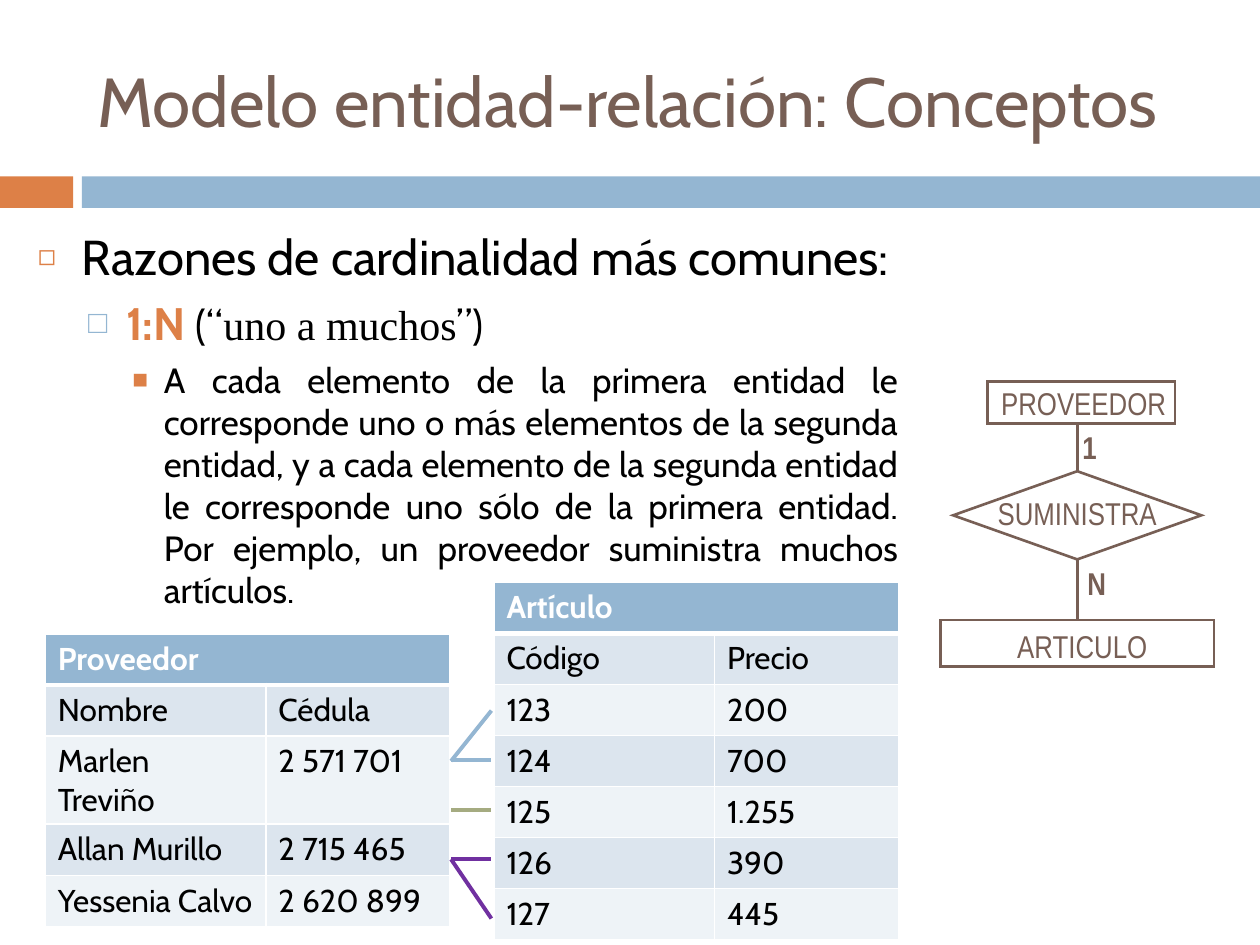
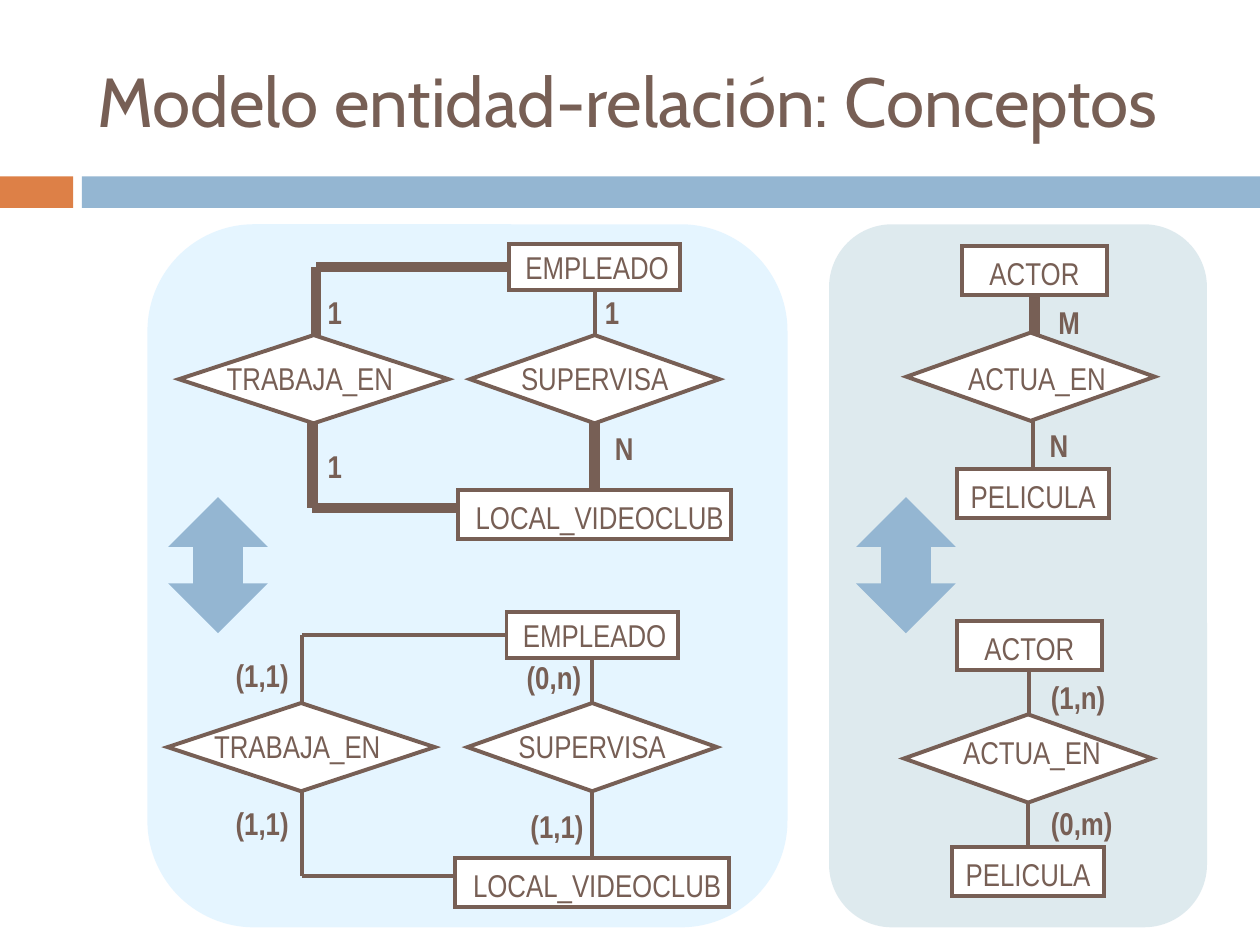
from lxml.etree import SubElement
from pptx import Presentation
from pptx.dml.color import RGBColor
from pptx.enum.shapes import MSO_CONNECTOR, MSO_SHAPE
from pptx.enum.text import MSO_ANCHOR, MSO_AUTO_SIZE, PP_ALIGN
from pptx.oxml.ns import qn
from pptx.util import Inches, Pt

# ---- Theme ----
THEME = {
    "brown": "775F55", "orange": "DD8047", "blue": "94B6D2", "olive": "A5AB81",
    "purple": "7030A0", "black": "000000", "white": "FFFFFF",
    "row_dark": "DCE5EE", "row_light": "EEF3F7",
    "panel_blue": "CCECFF", "panel_gray": "BFD6DF",
    "text_font": "Cabin", "diagram_font": "Arial Narrow", "quote_font": "Times New Roman",
    "title_size": 39.6, "diagram_size": 18, "table_size": 18,
}
TOP, LEFT, BOTTOM = 0, 1, 2  # connection sites
THIN, MEDIUM, HEAVY = 1.5, 2.25, 6

# ---- Shared content ----
TITLE = "Modelo entidad-relación: Conceptos"
TITLE_AREA = (0.67, 0.25, 8.92, 1.08)
BANDS = [((0, 1.4, 0.58, 0.25), "orange"), ((0.65, 1.4, 9.35, 0.25), "blue")]

# ---- Slide 1: list, each run is text, size, colour, bold, font ----
BODY_AREA = (0.2, 1.75, 7.03, 5.39)
BODY = [
    {"bullet": ("◻", "orange", 60), "indent": (0.35, 0.35), "before": 0, "runs": [
        ("Razones de cardinalidad más comunes:", 28, "black", False, "text_font")]},
    {"bullet": ("□", "blue", 70), "indent": (0.7, 0.3), "before": 5.5, "runs": [
        ("1:N ", 26, "orange", True, "text_font"),
        ("(“", 24, "black", False, "text_font"),
        ("uno a muchos", 24, "black", False, "quote_font"),
        ("”)", 24, "black", False, "text_font")]},
    {"bullet": ("■", "orange", 75), "indent": (1, 0.25), "before": 5, "runs": [
        ("A cada elemento de la primera entidad le corresponde uno o más elementos de la "
         "segunda entidad, y a cada elemento de la segunda entidad le corresponde uno sólo "
         "de la primera entidad. Por ejemplo, un proveedor suministra muchos artículos.",
         20, "black", False, "text_font")]},
]

# ---- Slide 1: tables and the pairs between their rows ----
COLUMN_WIDTHS, ROW_HEIGHT = (1.75, 1.46), 2.84 / 7
TABLES = [
    {"at": (0.36, 5.03), "name": "Proveedor", "rows": [
        ("Nombre", "Cédula"), ("Marlen Treviño", "2 571 701"),
        ("Allan Murillo", "2 715 465"), ("Yessenia Calvo", "2 620 899")]},
    {"at": (3.92, 4.62), "name": "Artículo", "rows": [
        ("Código", "Precio"), ("123", "200"), ("124", "700"), ("125", "1.255"),
        ("126", "390"), ("127", "445")]},
]
PAIR_LEFT, PAIR_RIGHT = 3.58, 3.9
PAIRS = [(6.03, 6.03, "blue"), (6.43, 6.43, "olive"), (6.82, 7.29, "purple"),
         (6.04, 5.64, "blue"), (6.82, 6.82, "purple")]

# ---- Diagrams ----
# Entity kinds: width, height, text margins (left, top, right, bottom)
ENTITY_KINDS = {
    "PROVEEDOR": (1.49, 0.33, (0.08, 0.01, 0.04, 0.01)),
    "ARTICULO": (2.17, 0.37, (0.08, 0.05, 0, 0.01)),
    "EMPLEADO": (1.36, 0.36, (0.08, 0.01, 0.04, 0.01)),
    "LOCAL_VIDEOCLUB": (2.17, 0.39, (0.08, 0.05, 0, 0.01)),
    "ACTOR": (1.15, 0.39, (0, 0.05, 0, 0.01)),
    "PELICULA": (1.21, 0.39, (0, 0.05, 0, 0.01)),
}
DIAMOND_HEIGHT, CAPTION_SIZE, LABEL_SIZE = 0.7, (1.8, 0.4), (0.65, 0.36)

# entities: name -> centre x, top; relations: name, centre x, top, width, caption centre
# links: start, end, weight, each end a point or (entity, site); labels: text, left, top
def store_diagram(axis, top, work, caption, corners, weights, labels):
    """Two entities joined straight by one relation and around a corner by another."""
    upper_x, lower_x = corners
    side, upper, lower = weights
    upper_y, lower_y = top + 0.18, top + 2.09
    diamond_top = top + 0.72
    return {
        "entities": {"EMPLEADO": (axis, top), "LOCAL_VIDEOCLUB": (axis, top + 1.95)},
        "relations": [("TRABAJA_EN", work[0], diamond_top, work[1], (caption, top + 1.06)),
                      ("SUPERVISA", axis, diamond_top, 1.98, (axis, top + 1.06))],
        "links": [
            (("EMPLEADO", BOTTOM), (axis, top + 0.77), upper),
            (("LOCAL_VIDEOCLUB", TOP), (axis, top + 1.34), lower),
            ((upper_x, top + 0.77), (upper_x, upper_y), side),
            ((upper_x, upper_y), ("EMPLEADO", LEFT), side),
            ((lower_x, top + 1.34), (lower_x, lower_y), side),
            ((lower_x, lower_y), (axis - 1.08, lower_y), side)],
        "labels": labels, "weight": MEDIUM,
    }

def cast_diagram(actor, film, relation, caption, weights, labels):
    """Two entities above and below one relation."""
    return {
        "entities": {"ACTOR": actor, "PELICULA": film},
        "relations": [("ACTUA_EN", *relation, 1.97, caption)],
        "links": [(("ACTOR", BOTTOM), (actor[0], relation[1] + 0.05), weights[0]),
                  (("PELICULA", TOP), (film[0], relation[1] + 0.65), weights[1])],
        "labels": labels, "weight": MEDIUM,
    }

SUPPLY = {
    "entities": {"PROVEEDOR": (8.58, 3.03), "ARTICULO": (8.55, 4.92)},
    "relations": [("SUMINISTRA", 8.55, 3.74, 1.97, (8.55, 4.07))],
    "links": [((8.55, 3.36), (8.55, 3.77), THIN),
              (("ARTICULO", TOP), (8.55, 4.35), THIN)],
    "labels": [("1", 8.59, 3.35), ("N", 8.63, 4.43)], "weight": THIN,
}
COMPARISON = [
    store_diagram(4.72, 1.94, (2.49, 2.14), 2.46, (2.51, 2.48), (HEAVY, MEDIUM, HEAVY),
                  [("1", 4.8, 2.28), ("1", 2.6, 2.28), ("N", 4.88, 3.36), ("1", 2.6, 3.5)]),
    store_diagram(4.7, 4.86, (2.39, 2.12), 2.36, (2.4, 2.4), (MEDIUM, MEDIUM, MEDIUM),
                  [("(0,n)", 4.18, 5.17), ("(1,1)", 1.87, 5.16),
                   ("(1,1)", 1.87, 6.33), ("(1,1)", 4.21, 6.36)]),
    cast_diagram((8.21, 1.95), (8.2, 3.72), (8.18, 2.64), (8.23, 3), (HEAVY, MEDIUM),
                 [("M", 8.4, 2.36), ("N", 8.33, 3.33)]),
    cast_diagram((8.17, 4.93), (8.16, 6.72), (8.16, 5.67), (8.19, 5.97), (MEDIUM, MEDIUM),
                 [("(1,n)", 8.34, 5.33), ("(0,m)", 8.34, 6.33)]),
]
PANELS = [((6.58, 1.78, 3, 5.58), "panel_gray"), ((1.17, 1.78, 5.08, 5.58), "panel_blue")]
ARROWS = [(1.19, 4.09, 1.08, 0.79), (6.65, 4.09, 1.08, 0.79)]

# ---- Helpers ----
def color(name):
    return RGBColor.from_string(THEME[name])

def inches(values):
    return [Inches(value) for value in values]

def apply(target, values):
    for name, value in values.items():
        setattr(target, name, value)

def write(para, text, size, ink, bold, font):
    span = para.add_run()
    span.text = text
    apply(span.font, {"size": Pt(size), "bold": bold, "name": THEME[font]})
    span.font.color.rgb = color(ink)

def write_diagram_text(box, text, margins, align=PP_ALIGN.CENTER,
                       anchor=MSO_ANCHOR.MIDDLE, bold=False):
    sides = ("margin_left", "margin_top", "margin_right", "margin_bottom")
    apply(box.text_frame, dict(zip(sides, inches(margins)),
                               word_wrap=True, vertical_anchor=anchor))
    para = box.text_frame.paragraphs[0]
    para.alignment = align
    write(para, text, THEME["diagram_size"], "brown", bold, "diagram_font")

def add_box(page, kind, area, fill=None, weight=None):
    shape = page.shapes.add_shape(kind, *inches(area))
    shape.shadow.inherit = False
    if fill:
        shape.fill.solid()
        shape.fill.fore_color.rgb = color(fill)
    else:
        shape.fill.background()
    if weight:
        shape.line.color.rgb = color("brown")
        shape.line.width = Pt(weight)
        SubElement(shape._element.spPr.find(qn("a:ln")), qn("a:miter"), lim="800000")
    else:
        shape.line.fill.background()
    return shape

def add_line(page, start, end, weight, ink="brown"):
    line = page.shapes.add_connector(MSO_CONNECTOR.STRAIGHT, *inches(start + end))
    line.line.color.rgb = color(ink)
    line.line.width = Pt(weight)
    SubElement(line._element.spPr, qn("a:effectLst"))
    return line

def place(holder, area):
    apply(holder, dict(zip(("left", "top", "width", "height"), inches(area))))
    apply(holder.text_frame, {"word_wrap": True, "auto_size": MSO_AUTO_SIZE.NONE})

def add_page(deck, layout):
    page = deck.slides.add_slide(deck.slide_layouts[layout])
    for area, fill in BANDS:
        add_box(page, MSO_SHAPE.RECTANGLE, area, fill)
    place(page.shapes.title, TITLE_AREA)
    frame = page.shapes.title.text_frame
    frame.vertical_anchor = MSO_ANCHOR.MIDDLE
    frame.paragraphs[0].alignment = PP_ALIGN.LEFT
    write(frame.paragraphs[0], TITLE, THEME["title_size"], "brown", False, "text_font")
    return page

def add_bullet(para, bullet, indent):
    mark, ink, percent = bullet
    margin, hanging = inches(indent)
    props = para._p.get_or_add_pPr()
    props.set("marL", str(margin))
    props.set("indent", str(-hanging))
    SubElement(SubElement(props, qn("a:buClr")), qn("a:srgbClr"), val=THEME[ink])
    SubElement(props, qn("a:buSzPct"), val=str(percent * 1000))
    SubElement(props, qn("a:buChar"), char=mark)

def fill_body(holder):
    place(holder, BODY_AREA)
    frame = holder.text_frame
    for level, item in enumerate(BODY):
        para = frame.add_paragraph() if level else frame.paragraphs[0]
        apply(para, {"level": level, "alignment": PP_ALIGN.JUSTIFY,
                     "space_before": Pt(item["before"])})
        add_bullet(para, item["bullet"], item["indent"])
        for run in item["runs"]:
            write(para, *run)

def add_borders(cell, row):
    weights = {"L": 1, "R": 1, "T": 3 if row == 1 else 1, "B": 3 if row == 0 else 1}
    props = cell._tc.get_or_add_tcPr()
    for side, weight in weights.items():
        edge = SubElement(props, qn(f"a:ln{side}"), w=str(Pt(weight)))
        SubElement(SubElement(edge, qn("a:solidFill")), qn("a:srgbClr"), val=THEME["white"])

def add_data_table(page, data):
    rows = [(data["name"], "")] + data["rows"]
    size = (sum(COLUMN_WIDTHS), ROW_HEIGHT * len(rows))
    table = page.shapes.add_table(len(rows), 2, *inches(data["at"] + size)).table
    for column, width in zip(table.columns, COLUMN_WIDTHS):
        column.width = Inches(width)
    table.cell(0, 0).merge(table.cell(0, 1))
    for row, texts in enumerate(rows):
        fill = "blue" if row == 0 else "row_dark" if row % 2 else "row_light"
        for column, text in enumerate(texts):
            cell = table.cell(row, column)
            add_borders(cell, row)
            cell.fill.solid()
            cell.fill.fore_color.rgb = color(fill)
            if text:
                write(cell.text_frame.paragraphs[0], text, THEME["table_size"],
                      "black" if row else "white", row == 0, "text_font")

def draw_diagram(page, diagram, fill="white"):
    weight = diagram["weight"]
    entities = {}
    for name, (center, top) in diagram["entities"].items():
        width, height, margins = ENTITY_KINDS[name]
        area = (center - width / 2, top, width, height)
        entities[name] = add_box(page, MSO_SHAPE.RECTANGLE, area, fill, weight)
        write_diagram_text(entities[name], name, margins)
    # Links lie under the diamonds
    for start, end, link_weight in diagram["links"]:
        points = [(0, 0) if stop[0] in entities else stop for stop in (start, end)]
        line = add_line(page, *points, link_weight)
        for stop, join in ((start, line.begin_connect), (end, line.end_connect)):
            if stop[0] in entities:
                join(entities[stop[0]], stop[1])
    for name, center, top, width, (caption_x, caption_y) in diagram["relations"]:
        area = (center - width / 2, top, width, DIAMOND_HEIGHT)
        add_box(page, MSO_SHAPE.DIAMOND, area, "white", weight)
        corner = (caption_x - CAPTION_SIZE[0] / 2, caption_y - CAPTION_SIZE[1] / 2)
        box = page.shapes.add_textbox(*inches(corner + CAPTION_SIZE))
        write_diagram_text(box, name, (0.1, 0.05, 0.1, 0.05))
    for text, left, top in diagram["labels"]:
        box = page.shapes.add_textbox(*inches((left, top) + LABEL_SIZE))
        write_diagram_text(box, text, (0, 0.05, 0, 0.01), PP_ALIGN.LEFT, MSO_ANCHOR.TOP, True)

# ---- Slide 1: cardinality one to many ----
deck = Presentation()
apply(deck, {"slide_width": Inches(10), "slide_height": Inches(7.5)})
page = add_page(deck, 1)
fill_body(page.placeholders[1])
draw_diagram(page, SUPPLY, fill=None)
for data in TABLES:
    add_data_table(page, data)
for start, end, ink in PAIRS:
    add_line(page, (PAIR_LEFT, start), (PAIR_RIGHT, end), MEDIUM, ink)

# ---- Slide 2: two notations compared ----
page = add_page(deck, 5)
for area, fill in PANELS:
    panel = add_box(page, MSO_SHAPE.ROUNDED_RECTANGLE, area, fill)
    tint = panel._element.spPr.find(qn("a:solidFill"))[0]
    SubElement(tint, qn("a:alpha"), val="50000")
for diagram in COMPARISON:
    draw_diagram(page, diagram)
for area in ARROWS:
    add_box(page, MSO_SHAPE.LEFT_RIGHT_ARROW, area, "blue").rotation = 270
deck.save("out.pptx")
